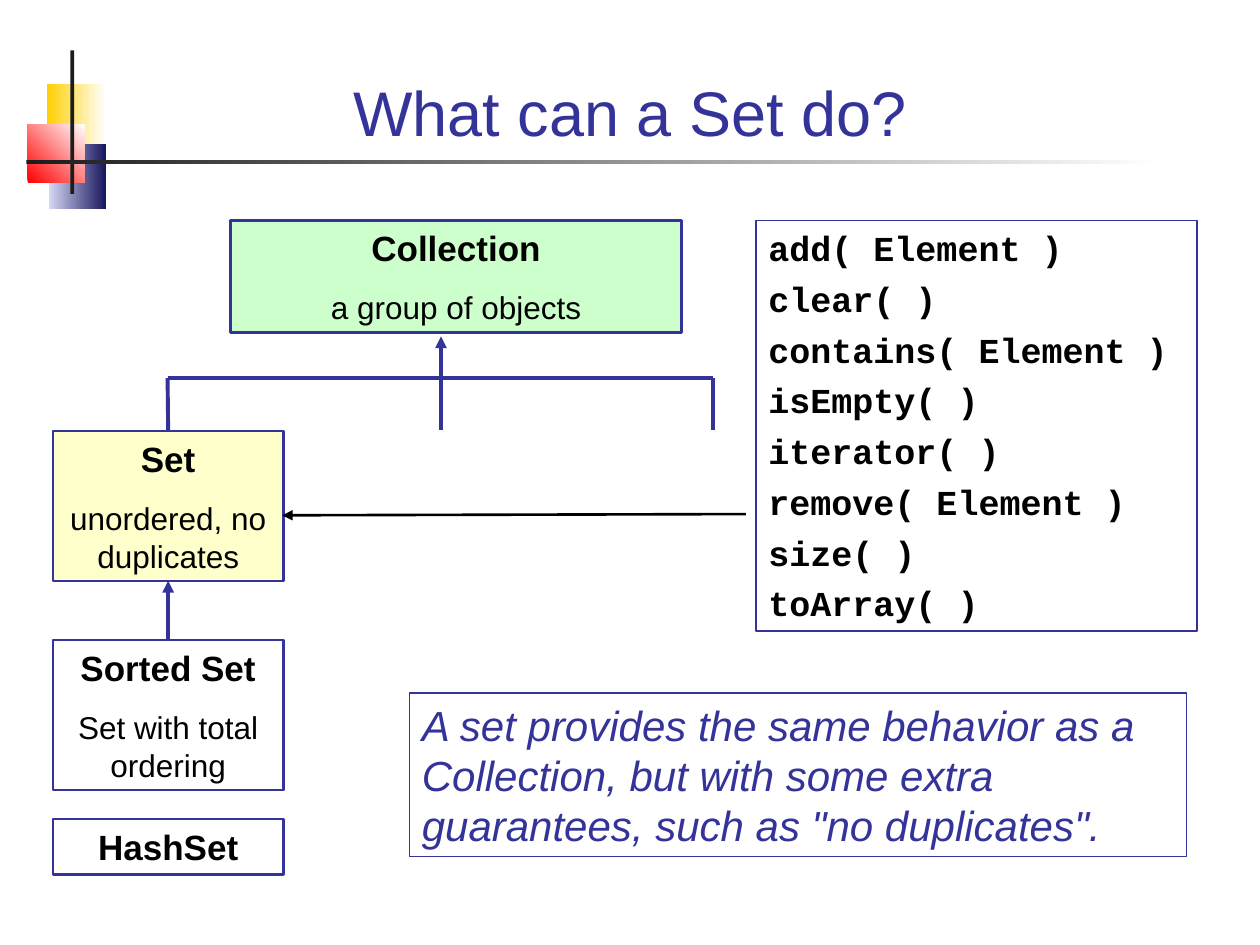
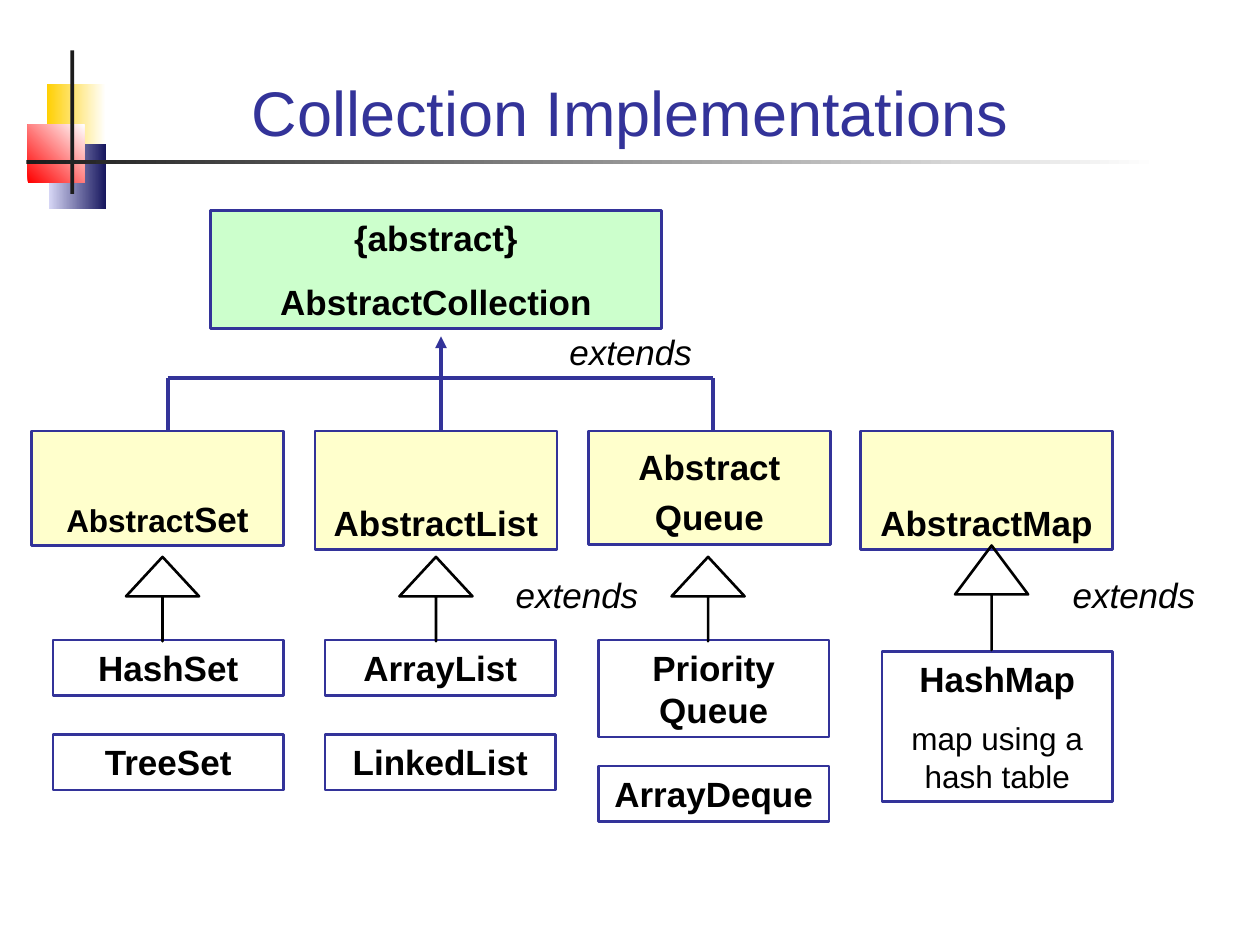
from lxml import etree
from pptx import Presentation
from pptx.dml.color import RGBColor
from pptx.enum import shapes, text
from pptx.oxml.ns import qn
from pptx.util import Inches, Pt

HUE = {
    "navy": "333399", "ink": "000000", "bar": "1C1C1C", "white": "FFFFFF",
    "mint": "CCFFCC", "cream": "FFFFCC", "gold": "FFCF01", "red": "FF0000",
    "pale": "D6D6F5", "night": "17175E",
}
HUE = {name: RGBColor.from_string(code) for name, code in HUE.items()}
RECT = shapes.MSO_SHAPE.RECTANGLE
MID, LEFT = text.PP_ALIGN.CENTER, text.PP_ALIGN.LEFT
TOP, BASE = text.MSO_ANCHOR.TOP, text.MSO_ANCHOR.BOTTOM


def write(page, place, *paras, fill=None, line=1.5, size=20, bold=True,
          slant=False, font="Arial", hue="ink", align=MID, anchor=TOP,
          gap=0.625, lead=None):
    """Add a text frame; a paragraph is a string or a list of (text, size, bold).

    gap is the space before later paragraphs, as a share of their text size.
    """
    place = [Inches(n) for n in place]
    if line:
        box = page.shapes.add_shape(RECT, *place)
        box.shadow.inherit = False
        box.line.color.rgb, box.line.width = HUE["navy"], Pt(line)
    else:
        box = page.shapes.add_textbox(*place)
    if fill:
        box.fill.solid()
        box.fill.fore_color.rgb = HUE[fill]
    else:
        box.fill.background()
    frame = box.text_frame
    frame.word_wrap, frame.vertical_anchor = True, anchor
    for i, para in enumerate(paras):
        runs = [(para, size, bold)] if isinstance(para, str) else para
        p = frame.paragraphs[0] if i == 0 else frame.add_paragraph()
        p.alignment = align
        if lead:
            p.line_spacing = lead
        if i:
            p.space_before = Pt(gap * runs[0][1])
        for words, pts, heavy in runs:
            run = p.add_run()
            run.text = words
            run.font.name, run.font.size = font, Pt(pts)
            run.font.bold, run.font.italic = heavy, slant
            run.font.color.rgb = HUE[hue]
    return box


def link(page, x1, y1, x2, y2, hue="navy", width=2.25, arrow=False):
    wire = page.shapes.add_connector(
        shapes.MSO_CONNECTOR.STRAIGHT, *[Inches(n) for n in (x1, y1, x2, y2)])
    wire.line.color.rgb, wire.line.width = HUE[hue], Pt(width)
    if arrow:
        etree.SubElement(wire.line._get_or_add_ln(), qn("a:tailEnd"), type="triangle")
    etree.SubElement(wire.element.spPr, qn("a:effectLst"))
    return wire


deck = Presentation()
deck.slide_width, deck.slide_height = Inches(10), Inches(7.5)

# Title, corner blocks and class tree shared by both slides
blocks = [  # place, left colour, right colour, angle
    ((0.37, 0.67, 0.47, 0.52), "gold", "white", 0),
    ((0.39, 1.14, 0.45, 0.52), "pale", "night", 0),
    ((0.22, 0.99, 0.45, 0.46), "red", "white", 45),
    ((0.56, 0.4, 0.03, 1.14), "bar", "bar", 0),
    ((0.21, 1.27, 8.99, 0.03), "bar", "white", 0),
]
pages, stems = [], []
for head in ("What can a Set do?", "Collection Implementations"):
    page = deck.slides.add_slide(deck.slide_layouts[5])
    pages.append(page)
    for place, start, end, angle in blocks:
        block = page.shapes.add_shape(RECT, *[Inches(n) for n in place])
        block.shadow.inherit = False
        block.line.fill.background()
        if start == end:
            block.fill.solid()
            block.fill.fore_color.rgb = HUE[start]
            continue
        block.fill.gradient()
        block.fill.gradient_angle = angle
        for stop, name in zip(block.fill.gradient_stops, (start, end)):
            stop.color.rgb = HUE[name]

    title = page.shapes.title
    title.left, title.top = Inches(0.67), Inches(0.28)
    title.width, title.height = Inches(8.66), Inches(0.95)
    title.text_frame.text = head
    title.text_frame.auto_size = text.MSO_AUTO_SIZE.NONE
    title.text_frame.vertical_anchor = BASE
    p = title.text_frame.paragraphs[0]
    p.alignment = MID
    p.font.name, p.font.size = "Arial", Pt(36)
    p.font.color.rgb = HUE["navy"]

    link(page, 1.33, 3, 5.66, 3)
    link(page, 3.5, 3, 3.5, 2.67, arrow=True)
    stems.append([link(page, x, 3, x, 3.41) for x in (1.33, 3.5, 5.66)])

# What a Set does
page = pages[0]
write(page, (1.83, 1.75, 3.58, 0.89), "Collection",
      [("a group of objects", 18, False)], fill="mint")
base = write(page, (0.42, 3.42, 1.83, 1.19), "Set",
             [("unordered, no duplicates", 18, False)], fill="cream")
sort = write(page, (0.42, 5.08, 1.83, 1.19), "Sorted Set",
             [("Set with total ordering", 18, False)])
write(page, (0.42, 6.5, 1.83, 0.44), "HashSet")
stems[0][0].end_connect(base, 0)
rise = link(page, 1.33, 5.08, 1.33, 4.61, arrow=True)
rise.begin_connect(sort, 0)
rise.end_connect(base, 2)
write(page, (6, 1.75, 3.5, 3.26), "add( Element )", "clear( )",
      "contains( Element )", "isEmpty( )", "iterator( )", "remove( Element )",
      "size( )", "toArray( )", line=0.75, font="Courier New", align=LEFT, gap=0.25)
link(page, 5.92, 4.08, 2.24, 4.09, hue="ink", width=1.5, arrow=True)
write(page, (3.25, 5.5, 6.17, 1.3),
      "A set provides the same behavior as a Collection, but with some extra "
      'guarantees, such as "no duplicates".',
      line=0.75, size=24, bold=False, slant=True, hue="navy", align=LEFT)

# Classes that implement collections
page = pages[1]
write(page, (1.67, 1.67, 3.58, 0.94), "{abstract}", "AbstractCollection", fill="mint")
kinds = [
    (0.25, 2, 0.91, [("Abstract", 18, True), ("Set", 20, True)], BASE, None),
    (2.5, 1.92, 0.94, "AbstractList", BASE, None),
    (4.67, 1.92, 0.9, "Abstract Queue", TOP, 1.2),
    (6.83, 2, 0.94, "AbstractMap", BASE, None),
]
for x, wide, high, name, anchor, lead in kinds:
    write(page, (x, 3.42, wide, high), name, fill="cream", anchor=anchor, lead=lead)

leaves = [
    (0.42, 5.08, 0.44, "HashSet"), (0.42, 5.83, 0.44, "TreeSet"),
    (2.58, 5.08, 0.44, "ArrayList"), (2.58, 5.83, 0.44, "LinkedList"),
    (4.75, 5.08, 0.77, "Priority Queue"), (4.75, 6.08, 0.44, "ArrayDeque"),
]
for x, y, high, name in leaves:
    write(page, (x, y, 1.83, high), name)
write(page, (7, 5.17, 1.83, 1.19), "HashMap", [("map using a hash table", 18, False)])

for x, y, high, tip in ((1, 4.42, 0.67, 0.54), (3.17, 4.42, 0.67, 0.54),
                        (5.33, 4.42, 0.67, 0.54), (7.58, 4.33, 0.83, 0.67)):
    arrow = page.shapes.add_shape(
        shapes.MSO_SHAPE.UP_ARROW, *[Inches(n) for n in (x, y, 0.58, high)])
    arrow.adjustments[0], arrow.adjustments[1] = 0, tip
    arrow.shadow.inherit = False
    arrow.fill.background()
    arrow.line.color.rgb, arrow.line.width = HUE["ink"], Pt(1.5)

for x, y, align in ((4.42, 2.57, LEFT), (3.58, 4.5, MID), (8, 4.5, MID)):
    write(page, (x, y, 2, 0.44), "extends", line=0, bold=False, slant=True, align=align)

deck.save("out.pptx")
